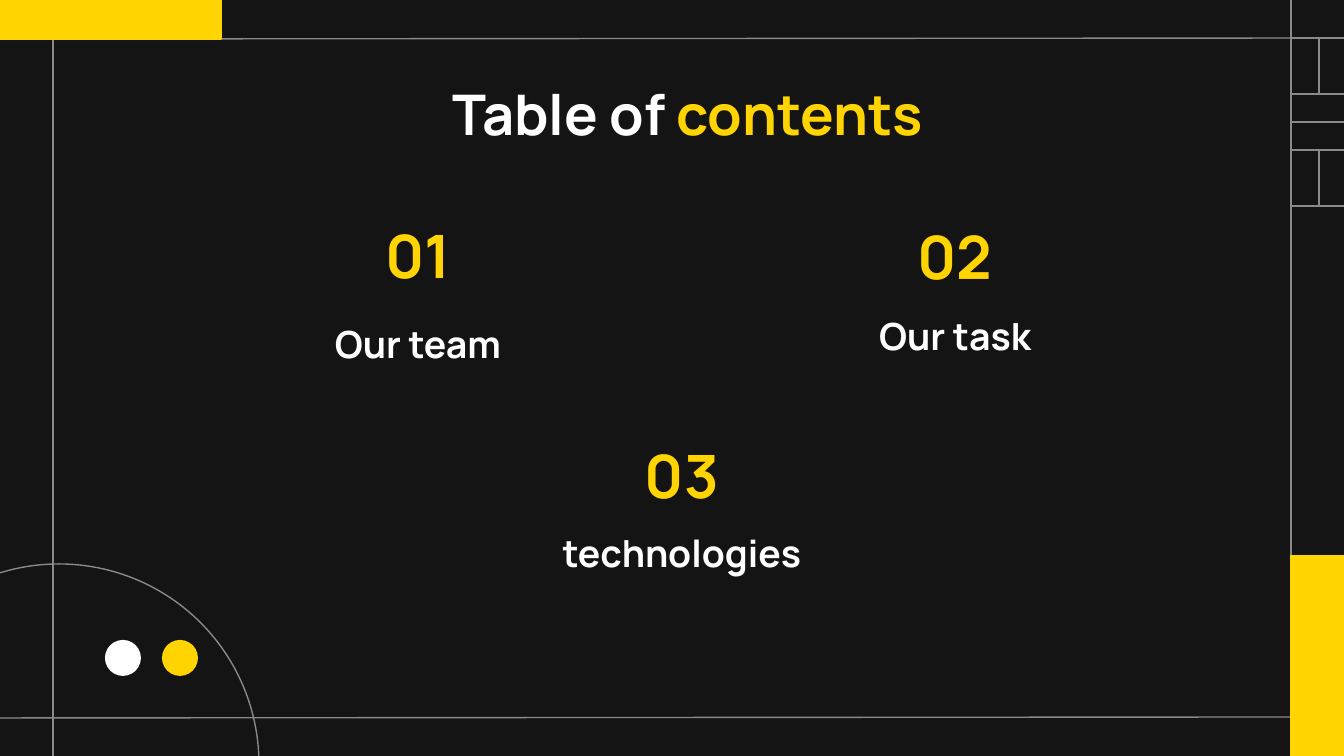
from lxml import etree
from pptx import Presentation
from pptx.dml.color import RGBColor
from pptx.enum.shapes import MSO_CONNECTOR, MSO_SHAPE
from pptx.enum.text import MSO_ANCHOR, MSO_AUTO_SIZE, PP_ALIGN
from pptx.oxml.ns import qn
from pptx.util import Pt

SCALE = 914400 / 134.4
WIDTH, HEIGHT = 1344, 756
FONT = "Manrope"
COLORS = {"background": "141414", "line": "8A8A8A", "accent": "FFD400", "text": "FFFFFF"}
RECTANGLE, OVAL = MSO_SHAPE.RECTANGLE, MSO_SHAPE.OVAL
STRAIGHT = MSO_CONNECTOR.STRAIGHT
TOP, MIDDLE, BOTTOM = MSO_ANCHOR.TOP, MSO_ANCHOR.MIDDLE, MSO_ANCHOR.BOTTOM
CENTER = PP_ALIGN.CENTER
NO_AUTOFIT = MSO_AUTO_SIZE.NONE


def px(*lengths):
    """Convert pixel lengths to a list of EMU values."""
    return [round(length * SCALE) for length in lengths]


def color(name):
    """Look up a named colour."""
    return RGBColor.from_string(COLORS[name])


def add_line(slide, *ends):
    """Draw a thin grey line between two points."""
    line = slide.shapes.add_connector(STRAIGHT, *px(*ends))
    line.line.color.rgb = color("line")
    line.line.width = Pt(0.75)
    etree.SubElement(line._element.spPr, qn("a:effectLst"))


def add_figure(slide, kind, box, fill=None, line=None):
    """Draw a preset shape with an optional fill and outline."""
    shape = slide.shapes.add_shape(kind, *px(*box))
    shape.shadow.inherit = False
    if fill:
        shape.fill.solid()
        shape.fill.fore_color.rgb = color(fill)
    else:
        shape.fill.background()
    if line:
        shape.line.color.rgb = color(line)
        shape.line.width = Pt(0.75)
    else:
        shape.line.fill.background()


def write_text(shape, runs, size, anchor):
    """Fill a shape with one centred paragraph of (text, colour) runs."""
    frame = shape.text_frame
    frame.word_wrap = True
    frame.auto_size = NO_AUTOFIT
    frame.vertical_anchor = anchor
    frame.margin_left = frame.margin_right = px(13)[0]
    frame.margin_top = frame.margin_bottom = px(13)[0]
    paragraph = frame.paragraphs[0]
    paragraph.alignment = CENTER
    paragraph.line_spacing = 1.0
    paragraph.space_before = Pt(0)
    for text, name in runs:
        run = paragraph.add_run()
        run.text = text
        run.font.name = FONT
        run.font.size = Pt(size)
        run.font.bold = True
        run.font.color.rgb = color(name)


def add_frame(slide):
    """Draw the long rules that frame the slide."""
    for y in (39, 718):
        add_line(slide, -4, y, WIDTH + 4, y - 1)
    for x in (53, 1291):
        add_line(slide, x, -2, x, HEIGHT + 5)


def add_tiles(slide, left, top, size):
    """Draw a column of three squares, each halved by a line."""
    half = size // 2
    for index in range(3):
        y = top + index * size
        add_figure(slide, RECTANGLE, (left, y, size, size), line="line")
        if index == 1:
            add_line(slide, left, y + half, left + size, y + half)
        else:
            add_line(slide, left + half, y, left + half, y + size)


def add_corner(slide, left, top, size):
    """Draw the large ring with two dots inside it."""
    add_figure(slide, OVAL, (left, top, size, size), line="line")
    for offset, fill in ((303, "accent"), (246, "text")):
        add_figure(slide, OVAL, (left + offset, top + 76, 36, 36), fill=fill)


def add_title(slide, box):
    """Place the two-coloured title."""
    title = slide.shapes.title
    title.left, title.top, title.width, title.height = px(*box)
    write_text(title, [("Table of ", "text"), ("contents", "accent")], 30, TOP)


def add_entry(slide, center, top, label_gap, number, label):
    """Place a number with its label below, centred on a vertical axis."""
    parts = ((number, "accent", 32, MIDDLE, 104, 66, 0),
             (label, "text", 20, BOTTOM, 326, 71, label_gap))
    for text, name, size, anchor, width, height, offset in parts:
        box = (center - width // 2, top + offset, width, height)
        write_text(slide.shapes.add_textbox(*px(*box)), [(text, name)], size, anchor)


def main():
    """Build and save the contents slide."""
    presentation = Presentation()
    presentation.slide_width, presentation.slide_height = px(WIDTH, HEIGHT)
    slide = presentation.slides.add_slide(presentation.slide_layouts[5])
    slide.background.fill.solid()
    slide.background.fill.fore_color.rgb = color("background")
    add_frame(slide)
    add_tiles(slide, 1291, 38, 56)
    for box in ((1291, 556, 54, 205), (0, -1, 221, 40)):
        add_figure(slide, RECTANGLE, box, fill="accent", line="accent")
    add_corner(slide, -141, 564, 400)
    add_title(slide, (121, 67, 1133, 85))
    entries = ((418, 222, 86, "01", "Our team"),
               (955, 223, 77, "02", "Our task"),
               (682, 442, 75, "03", "technologies"))
    for entry in entries:
        add_entry(slide, *entry)
    presentation.save("out.pptx")


if __name__ == "__main__":
    main()
